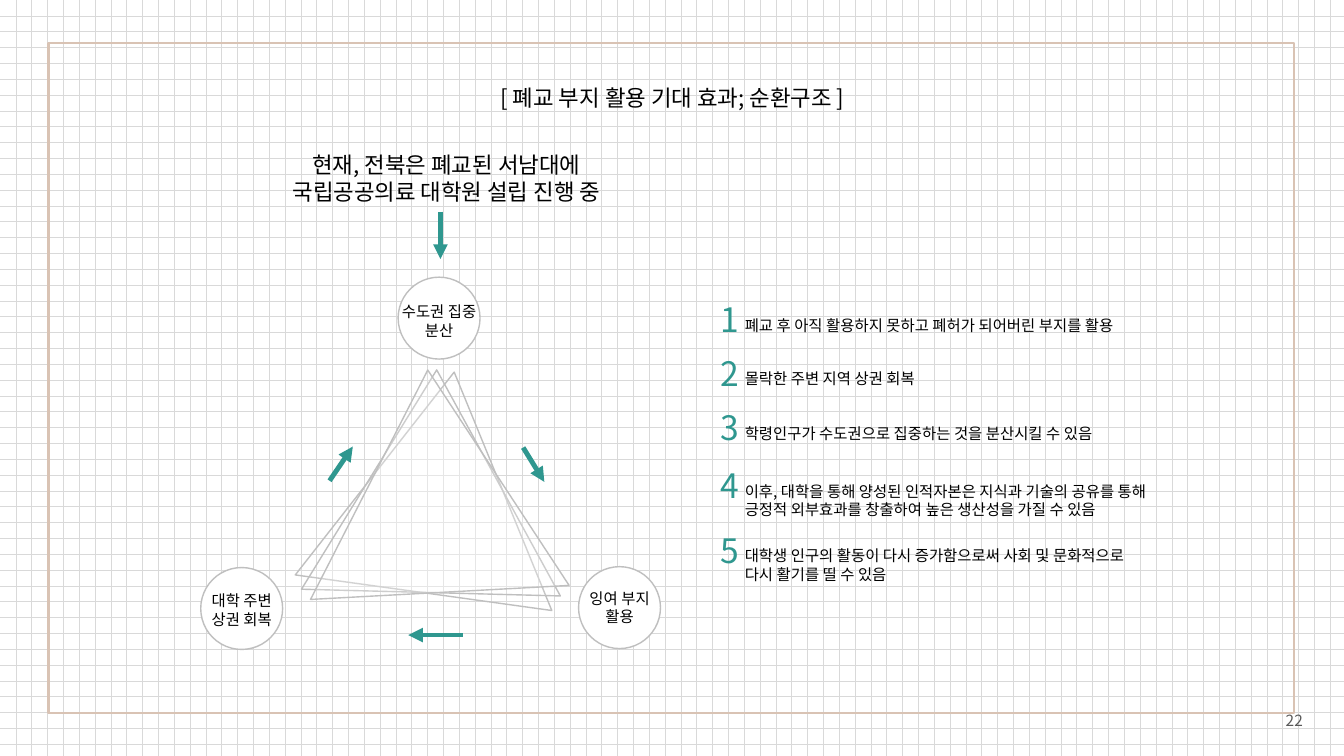
"""Build the slide on the expected cycle of effects from reusing closed school sites."""
import pptx
import pptx.dml.color
import pptx.enum.dml
import pptx.enum.shapes
import pptx.enum.text
import pptx.oxml
import pptx.oxml.ns
import pptx.util

Pt = pptx.util.Pt
RGBColor = pptx.dml.color.RGBColor
SHAPE = pptx.enum.shapes.MSO_SHAPE
ALIGN = pptx.enum.text.PP_ALIGN

FONT = "Noto Sans CJK KR"
BLACK = RGBColor(0x00, 0x00, 0x00)
WHITE = RGBColor(0xFF, 0xFF, 0xFF)
GRID = RGBColor(0xD9, 0xD9, 0xD9)
OUTLINE = RGBColor(0xBF, 0xBF, 0xBF)
TEAL = RGBColor(0x2F, 0x97, 0x8F)
TAN = RGBColor(0xD9, 0xC3, 0xB4)
PAGE_GRAY = RGBColor(0x59, 0x59, 0x59)

TITLE = "[ 폐교 부지 활용 기대 효과; 순환구조 ]"
CURRENT_PLAN = ["현재, 전북은 폐교된 서남대에", "국립공공의료 대학원 설립 진행 중"]
PAGE = "22"

# (left, top, rotation, opacity percent)
TRIANGLES = [(221, 265, 7.9, 10), (217.4, 264.2, 1.5, 11), (217.4, 264.2, -3.1, 22)]
TRIANGLE_SIZE = (185, 159.1)

# (circle left, circle top, label drop, lines)
STAGES = [
    (284.4, 198, 14.4, ["수도권 집중", "분산"]),
    (413.3, 404.8, 12.2, ["잉여 부지", "활용"]),
    (143.4, 405.4, 13.6, ["대학 주변", "상권 회복"]),
]
CIRCLE = 58.5
LABEL_WIDTH = 78.5

ARROWS = [
    (373.7, 319.7, 388.8, 344.2),
    (330.5, 453.6, 291.6, 453.6),
    (235.4, 343.4, 252, 319),
    (314.6, 151.2, 314.6, 185),
]

EFFECTS = [
    (210.2, ["폐교 후 아직 활용하지 못하고 폐허가 되어버린 부지를 활용"]),
    (248.2, ["몰락한 주변 지역 상권 회복"]),
    (287.4, ["학령인구가 수도권으로 집중하는 것을 분산시킬 수 있음"]),
    (328.8, ["이후, 대학을 통해 양성된 인적자본은 지식과 기술의 공유를 통해",
             "긍정적 외부효과를 창출하여 높은 생산성을 가질 수 있음"]),
    (375, ["대학생 인구의 활동이 다시 증가함으로써 사회 및 문화적으로",
           "다시 활기를 띨 수 있음"]),
]
NUMBER_LEFT, EFFECT_LEFT, EFFECT_DROP = 507.6, 524.9, 11.8


def add_element(parent, tag, **attributes):
    child = parent.makeelement(pptx.oxml.ns.qn(tag), attributes)
    parent.append(child)
    return child


def add_text(slide, left, top, width, lines, size, color=BLACK, align=ALIGN.CENTER):
    height = 7.2 + len(lines) * size * 1.2
    frame = slide.shapes.add_textbox(Pt(left), Pt(top), Pt(width), Pt(height)).text_frame
    frame.word_wrap = True
    frame.auto_size = pptx.enum.text.MSO_AUTO_SIZE.SHAPE_TO_FIT_TEXT
    frame.text = "\n".join(lines)
    for paragraph in frame.paragraphs:
        paragraph.alignment = align
        paragraph.font.size = Pt(size)
        paragraph.font.name = FONT
        paragraph.font.color.rgb = color
        add_element(paragraph.font._element, "a:ea", typeface=FONT)


def add_outlined(slide, preset, left, top, width, height, color, weight, opacity=100):
    shape = slide.shapes.add_shape(preset, Pt(left), Pt(top), Pt(width), Pt(height))
    shape.shadow.inherit = False
    shape.line.color.rgb = color
    shape.line.width = Pt(weight)
    if opacity:
        shape.fill.solid()
        shape.fill.fore_color.rgb = WHITE
        fill_color = shape._element.spPr.find(".//" + pptx.oxml.ns.qn("a:srgbClr"))
        if opacity < 100:
            add_element(fill_color, "a:alpha", val=str(opacity * 1000))
    else:
        shape.fill.background()
    return shape


def add_arrow(slide, ends):
    arrow = slide.shapes.add_connector(
        pptx.enum.shapes.MSO_CONNECTOR.STRAIGHT, *[Pt(end) for end in ends])
    arrow.line.color.rgb = TEAL
    arrow.line.width = Pt(3.5)
    add_element(arrow.line._get_or_add_ln(), "a:tailEnd", type="triangle")
    add_element(arrow._element.spPr, "a:effectLst")


def main():
    deck = pptx.Presentation()
    deck.slide_width, deck.slide_height = Pt(960), Pt(540)
    slide = deck.slides.add_slide(deck.slide_layouts[6])
    backdrop = slide.background.fill
    backdrop.patterned()
    backdrop.pattern = pptx.enum.dml.MSO_PATTERN.DOTTED_GRID
    backdrop.fore_color.rgb = GRID
    backdrop.back_color.rgb = WHITE

    add_text(slide, 909.4, 504.7, 30.2, [PAGE], 11, PAGE_GRAY)
    for left, top, rotation, opacity in TRIANGLES:
        triangle = add_outlined(slide, SHAPE.ISOSCELES_TRIANGLE, left, top,
                                *TRIANGLE_SIZE, OUTLINE, 1, opacity)
        triangle.rotation = rotation
    for left, top, drop, lines in STAGES:
        add_outlined(slide, SHAPE.OVAL, left, top, CIRCLE, CIRCLE, OUTLINE, 1)
        label_left = left + (CIRCLE - LABEL_WIDTH) / 2
        add_text(slide, label_left, top + drop, LABEL_WIDTH, lines, 11)
    for ends in ARROWS:
        add_arrow(slide, ends)

    add_text(slide, 333.4, 56.9, 293.8, [TITLE], 16)
    for number, (top, lines) in enumerate(EFFECTS, 1):
        add_text(slide, NUMBER_LEFT, top, 58.3, [str(number)], 24, TEAL, ALIGN.LEFT)
        add_text(slide, EFFECT_LEFT, top + EFFECT_DROP, 342, lines, 11, align=ALIGN.LEFT)
    add_outlined(slide, SHAPE.RECTANGLE, 34.6, 31, 890, 478, TAN, 1.5, 0)
    add_text(slide, 138.2, 104.4, 361.4, CURRENT_PLAN, 16)
    deck.save("out.pptx")


if __name__ == "__main__":
    main()
